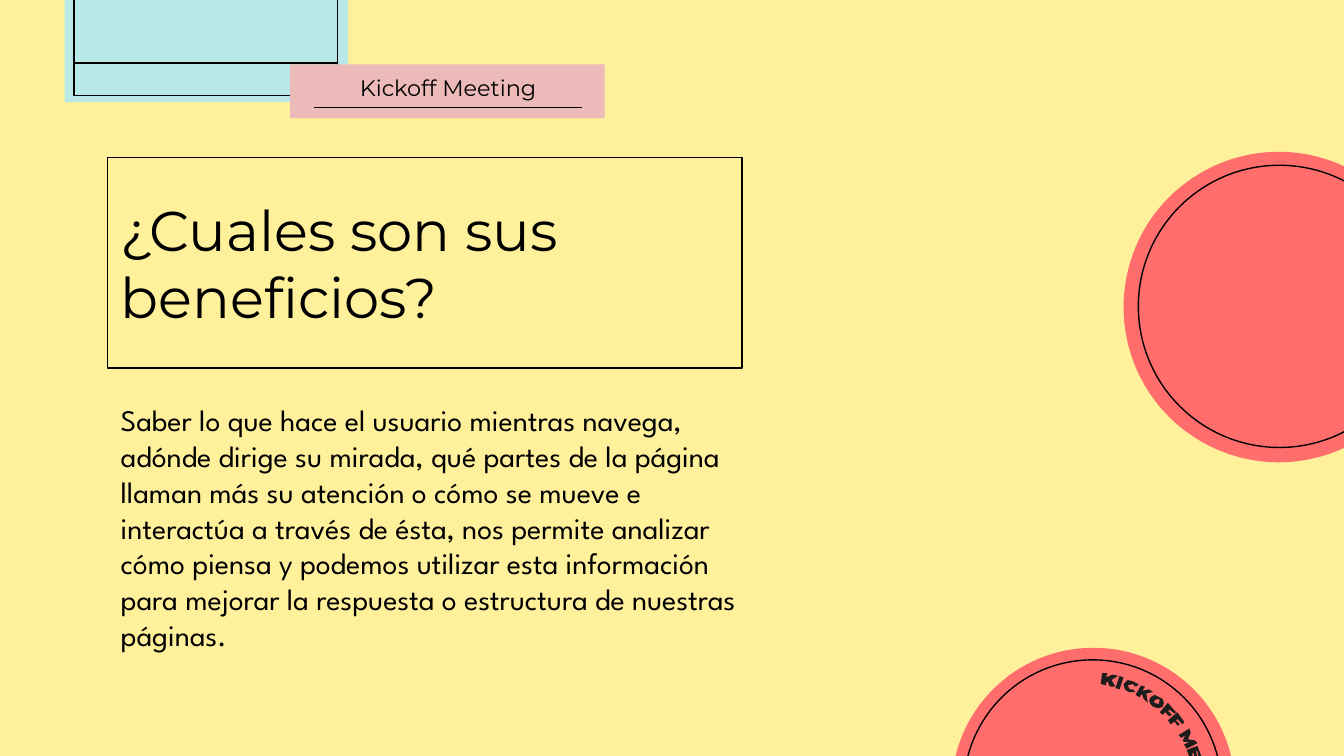
from dataclasses import dataclass
from typing import Optional

from lxml.etree import SubElement
from pptx import Presentation
from pptx.dml.color import RGBColor
from pptx.enum.shapes import MSO_CONNECTOR, MSO_SHAPE
from pptx.enum.text import MSO_ANCHOR, PP_ALIGN
from pptx.oxml.ns import qn
from pptx.util import Emu, Pt

PX = 9144  # EMU per px, 100 px to the inch
SLIDE_WIDTH = 1000 * PX
SLIDE_HEIGHT = SLIDE_WIDTH * 9 // 16

YELLOW = RGBColor(0xFF, 0xF0, 0x9C)
BLUE = RGBColor(0xBA, 0xE8, 0xE8)
PINK = RGBColor(0xEB, 0xBA, 0xB9)
CORAL = RGBColor(0xFF, 0x6E, 0x6C)
BLACK = RGBColor(0x00, 0x00, 0x00)
INK = RGBColor(0x1D, 0x1D, 0x1B)


@dataclass(frozen=True)
class Box:
    left: int
    top: int
    width: int
    height: int

    def emu(self) -> list[Emu]:
        return [Emu(n * PX) for n in (self.left, self.top, self.width, self.height)]


@dataclass(frozen=True)
class Figure:
    kind: MSO_SHAPE
    box: Box
    fill: Optional[RGBColor] = None  # without a fill, a black outline


@dataclass(frozen=True)
class Rule:
    start_x: int
    end_x: int
    y: int


@dataclass(frozen=True)
class Label:
    text: str
    box: Box
    font: str
    size: int
    anchor: MSO_ANCHOR = MSO_ANCHOR.TOP
    align: PP_ALIGN = PP_ALIGN.LEFT
    outlined: bool = False


RECTANGLE, OVAL = MSO_SHAPE.RECTANGLE, MSO_SHAPE.OVAL

BLUE_CARD = [
    Figure(RECTANGLE, Box(48, -135, 211, 211), BLUE),
    Figure(RECTANGLE, Box(55, -126, 196, 197)),
]
TAG = Figure(RECTANGLE, Box(216, 48, 234, 40), PINK)
CARD_RULE = Rule(251, 55, 47)
TAG_RULE = Rule(234, 433, 80)

BADGE = [
    Figure(OVAL, Box(708, 482, 211, 211), CORAL),
    Figure(OVAL, Box(717, 491, 192, 192)),
]
DISC = [
    Figure(OVAL, Box(836, 113, 231, 231), CORAL),
    Figure(OVAL, Box(847, 123, 210, 210)),
]

LABELS = [
    Label("Kickoff Meeting", Box(233, 52, 201, 27), "Montserrat", 12,
          MSO_ANCHOR.MIDDLE, PP_ALIGN.CENTER),
    Label("¿Cuales son sus beneficios?", Box(80, 117, 472, 157), "Montserrat", 30,
          MSO_ANCHOR.MIDDLE, outlined=True),
    Label("Saber lo que hace el usuario mientras navega, adónde dirige su mirada, "
          "qué partes de la página llaman más su atención o cómo se mueve e "
          "interactúa a través de ésta, nos permite analizar cómo piensa y podemos "
          "utilizar esta información para mejorar la respuesta o estructura de "
          "nuestras páginas.", Box(80, 289, 497, 135), "League Spartan", 16),
]

# Curved lettering on the badge: each letter is a list of closed contours
Contour = list[tuple[int, int]]
LETTERS: list[list[Contour]] = [
    # K
    [[(832, 503), (828, 502), (823, 504), (824, 501), (820, 501), (819, 509),
      (823, 510), (823, 508), (824, 507), (826, 511), (830, 511), (827, 506)]],
    # I
    [[(836, 504), (833, 503), (830, 512), (833, 513)]],
    # C
    [[(847, 509), (843, 507), (839, 506), (836, 509), (837, 513), (840, 515),
      (845, 515), (843, 513), (841, 513), (840, 512), (839, 510), (843, 509),
      (844, 510), (844, 511), (847, 510)]],
    # K
    [[(858, 515), (855, 513), (850, 514), (852, 511), (849, 510), (845, 517),
      (848, 519), (849, 517), (850, 517), (851, 520), (854, 523), (853, 516)]],
    # O
    [[(863, 521), (862, 524), (859, 523), (859, 521), (862, 520)],
     [(865, 520), (863, 519), (859, 517), (856, 519), (855, 521), (856, 524),
      (858, 526), (862, 527), (865, 526), (866, 523)]],
    # F
    [[(875, 530), (869, 523), (863, 530), (865, 532), (867, 530), (870, 533),
      (872, 532), (869, 529), (870, 528), (874, 531)]],
    # F
    [[(881, 537), (876, 530), (869, 536), (871, 539), (874, 537), (876, 540),
      (878, 539), (875, 536), (876, 535), (880, 539)]],
    # M
    [[(885, 542), (877, 547), (879, 549), (882, 547), (880, 551), (881, 552),
      (885, 552), (881, 554), (883, 557), (891, 553), (889, 551), (884, 550),
      (886, 545)]],
    # E
    [[(891, 555), (883, 558), (886, 566), (888, 565), (887, 561), (888, 560),
      (889, 564), (891, 564), (890, 559), (891, 559), (892, 564), (894, 563)]],
]


def set_outline(shape) -> None:
    shape.line.color.rgb = BLACK
    shape.line.width = Pt(0.75)


def draw_figure(slide, figure: Figure) -> None:
    shape = slide.shapes.add_shape(figure.kind, *figure.box.emu())
    shape.shadow.inherit = False
    if figure.fill is None:
        shape.fill.background()
        set_outline(shape)
    else:
        shape.fill.solid()
        shape.fill.fore_color.rgb = figure.fill
        shape.line.fill.background()


def draw_rule(slide, rule: Rule) -> None:
    connector = slide.shapes.add_connector(
        MSO_CONNECTOR.STRAIGHT,
        *(Emu(n * PX) for n in (rule.start_x, rule.y, rule.end_x, rule.y)))
    set_outline(connector)
    SubElement(connector._element.spPr, qn("a:effectLst"))


def draw_label(slide, label: Label) -> None:
    shape = slide.shapes.add_textbox(*label.box.emu())
    if label.outlined:
        set_outline(shape)
    frame = shape.text_frame
    frame.word_wrap = True
    frame.vertical_anchor = label.anchor
    frame.margin_left = frame.margin_right = Emu(10 * PX)
    frame.margin_top = frame.margin_bottom = Emu(10 * PX)
    frame.text = label.text
    paragraph = frame.paragraphs[0]
    paragraph.alignment = label.align
    font = paragraph.runs[0].font
    font.name, font.size = label.font, Pt(label.size)
    font.color.rgb = BLACK


def draw_letter(slide, contours: list[Contour]) -> None:
    first, *others = contours
    builder = slide.shapes.build_freeform(*first[0], scale=PX)
    builder.add_line_segments(first[1:], close=True)
    for contour in others:
        builder.move_to(*contour[0])
        builder.add_line_segments(contour[1:], close=True)
    shape = builder.convert_to_shape()
    shape.shadow.inherit = False
    shape.fill.solid()
    shape.fill.fore_color.rgb = INK
    shape.line.fill.background()


def main() -> None:
    presentation = Presentation()
    presentation.slide_width = Emu(SLIDE_WIDTH)
    presentation.slide_height = Emu(SLIDE_HEIGHT)
    slide = presentation.slides.add_slide(presentation.slide_layouts[6])
    slide.background.fill.solid()
    slide.background.fill.fore_color.rgb = YELLOW

    # Card and tag at the top
    for figure in BLUE_CARD:
        draw_figure(slide, figure)
    draw_rule(slide, CARD_RULE)
    draw_figure(slide, TAG)
    draw_rule(slide, TAG_RULE)

    # Tag text, title and body
    for label in LABELS:
        draw_label(slide, label)

    # Badge with its lettering, then the disc
    for figure in BADGE:
        draw_figure(slide, figure)
    for contours in LETTERS:
        draw_letter(slide, contours)
    for figure in DISC:
        draw_figure(slide, figure)

    presentation.save("out.pptx")


if __name__ == "__main__":
    main()
